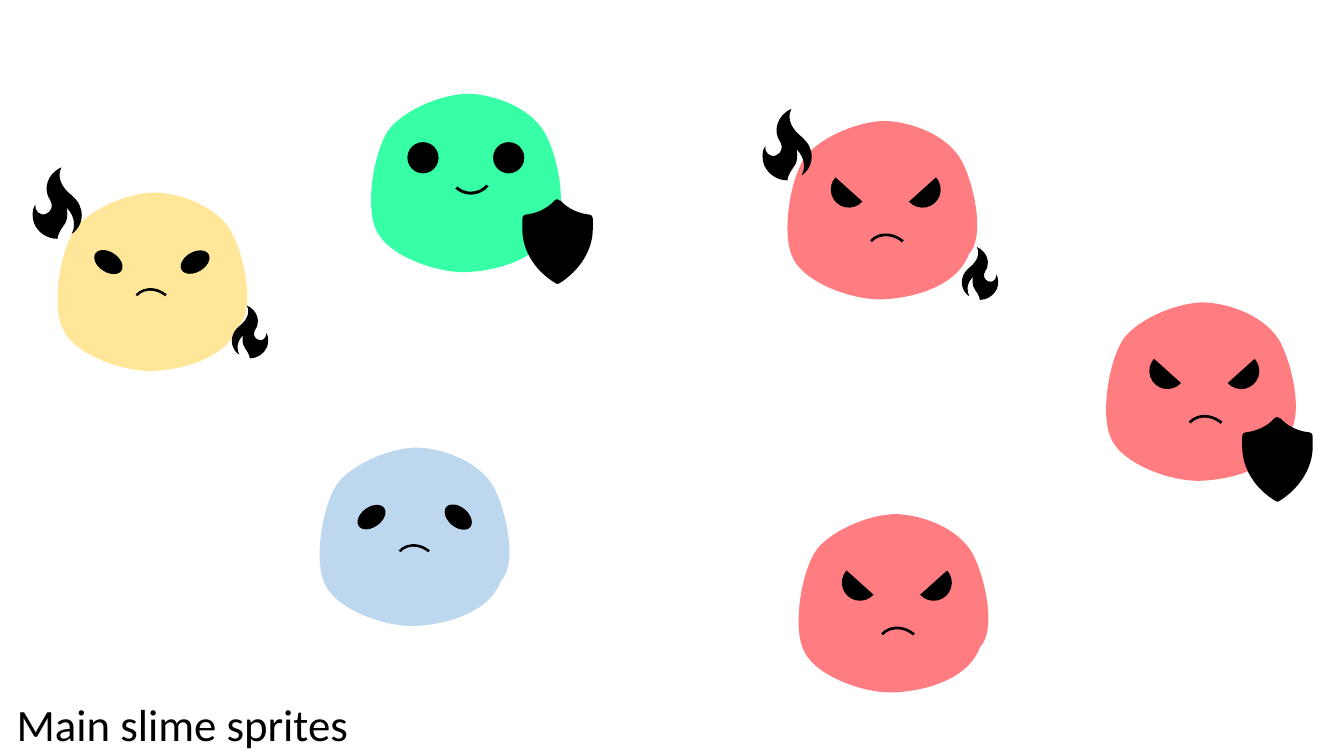
"""Build the slide of main slime sprites with their flames and shields."""
from lxml.etree import SubElement
from pptx import Presentation
from pptx.dml.color import RGBColor
from pptx.enum.shapes import MSO_SHAPE
from pptx.enum.text import MSO_ANCHOR, PP_ALIGN
from pptx.oxml.ns import qn
from pptx.util import Inches, Pt

COLORS = {"ink": "000000", "angry": "FF7C80", "happy": "36FFA5",
          "cross": "FFE699", "sad": "BDD7EE"}

# Outline: width, height, then a start point, Bezier curves (six numbers) and lines (two).
BODY = (1.88, 1.76, [
    (0.06, 1.37), (-0.07, 1.14, 0.03, 0.54, 0.19, 0.34),
    (0.35, 0.15, 0.72, 0, 0.97, 0), (1.23, 0.01, 1.59, 0.14, 1.73, 0.4),
    (1.86, 0.65, 1.96, 1.16, 1.8, 1.32), (1.68, 1.65, 1.23, 1.76, 0.94, 1.77),
    (0.65, 1.78, 0.18, 1.61, 0.06, 1.37),
])
FLAME = (0.49, 0.71, [
    (0.03, 0.37), (0.02, 0.43, 0.08, 0.49, 0.14, 0.46),
    (0.19, 0.44, 0.21, 0.38, 0.18, 0.33), (0.1, 0.22, 0.15, 0.06, 0.29, 0),
    (0.23, 0.11, 0.32, 0.22, 0.37, 0.26), (0.43, 0.31, 0.46, 0.35, 0.47, 0.38),
    (0.53, 0.51, 0.45, 0.63, 0.39, 0.66), (0.42, 0.61, 0.44, 0.5, 0.34, 0.4),
    (0.34, 0.4, 0.37, 0.51, 0.31, 0.58), (0.25, 0.66, 0.25, 0.71, 0.25, 0.71),
    (0.15, 0.71, 0.06, 0.65, 0.02, 0.56), (0, 0.51, -0.01, 0.42, 0.03, 0.37),
])
SHIELD = (0.71, 0.84, [
    (0.38, 0.01), (0.45, 0.09, 0.56, 0.14, 0.67, 0.15),
    (0.69, 0.15, 0.7, 0.17, 0.7, 0.19), (0.7, 0.29),
    (0.7, 0.51, 0.56, 0.71, 0.37, 0.83), (0.36, 0.84, 0.34, 0.84, 0.33, 0.83),
    (0.13, 0.71, 0, 0.51, 0, 0.29), (0, 0.19),
    (0, 0.17, 0.01, 0.15, 0.03, 0.15), (0.14, 0.14, 0.25, 0.09, 0.32, 0.01),
    (0.33, -0.01, 0.36, -0.01, 0.37, 0.01),
])

# Features: preset, left, top, width, height, rotation, mirrored.
ANGRY_FACE = [
    (MSO_SHAPE.BLOCK_ARC, 0.76, 1.13, 0.5, 0.43, 37, False),
    (MSO_SHAPE.CHORD, 0.43, 0.5, 0.36, 0.36, 312.1, False),
    (MSO_SHAPE.CHORD, 1.16, 0.5, 0.36, 0.36, 47.9, True),
]
HAPPY_FACE = [
    (MSO_SHAPE.OVAL, 0.36, 0.48, 0.31, 0.31, 0, False),
    (MSO_SHAPE.OVAL, 1.21, 0.48, 0.31, 0.31, 0, False),
    (MSO_SHAPE.BLOCK_ARC, 0.76, 0.54, 0.46, 0.46, 217.2, False),
]
CROSS_FACE = [
    (MSO_SHAPE.OVAL, 0.35, 0.59, 0.31, 0.2, 33.4, False),
    (MSO_SHAPE.OVAL, 1.21, 0.59, 0.31, 0.2, 329.8, False),
    (MSO_SHAPE.BLOCK_ARC, 0.72, 0.96, 0.46, 0.4, 37, False),
]
SAD_FACE = [
    (MSO_SHAPE.OVAL, 0.36, 0.59, 0.31, 0.2, 324.4, False),
    (MSO_SHAPE.OVAL, 1.22, 0.59, 0.31, 0.2, 40.1, False),
    (MSO_SHAPE.BLOCK_ARC, 0.73, 0.97, 0.46, 0.4, 37, False),
]
ADJUSTMENTS = {MSO_SHAPE.BLOCK_ARC: (109.83, 165.006, 0.063),
               MSO_SHAPE.CHORD: (53.802, 162), MSO_SHAPE.OVAL: ()}

# Extras: outline, left, top, scale, mirrored.
SMALL = 0.74
SLIMES = [
    (7.81, 1.2, "angry", ANGRY_FACE,
     [(FLAME, -0.25, -0.12, 1, False), (FLAME, 1.73, 1.25, SMALL, True)]),
    (7.92, 5.1, "angry", ANGRY_FACE, []),
    (10.97, 3, "angry", ANGRY_FACE, [(SHIELD, 1.35, 1.14, 1, False)]),
    (3.68, 0.93, "happy", HAPPY_FACE, [(SHIELD, 1.5, 1.05, 1, False)]),
    (0.57, 1.91, "cross", CROSS_FACE,
     [(FLAME, -0.25, -0.25, 1, False), (FLAME, 1.73, 1.12, SMALL, True)]),
    (3.17, 4.44, "sad", SAD_FACE, []),
]


def paint(shape, color, mirrored):
    """Give a shape a flat fill without outline or shadow, mirrored if asked."""
    shape.fill.solid()
    shape.fill.fore_color.rgb = RGBColor.from_string(COLORS[color])
    shape.line.fill.background()
    shape.shadow.inherit = False
    if mirrored:
        shape.element.spPr.get_or_add_xfrm().set("flipH", "1")


def draw_outline(shapes, outline, left, top, scale, mirrored, color):
    """Draw a curved outline as a filled freeform."""
    width, height, segments = outline
    builder = shapes.build_freeform(0, 0)
    builder.add_line_segments([(Inches(width), Inches(height))], close=False)
    freeform = builder.convert_to_shape(Inches(left), Inches(top))
    freeform.width, freeform.height = Inches(width * scale), Inches(height * scale)
    contour = freeform.element.spPr.find(".//" + qn("a:path"))
    for child in list(contour):
        contour.remove(child)
    for index, segment in enumerate(segments):
        line_tag = "a:lnTo" if index else "a:moveTo"
        tag = "a:cubicBezTo" if len(segment) == 6 else line_tag
        command = SubElement(contour, qn(tag))
        for x, y in zip(segment[::2], segment[1::2]):
            SubElement(command, qn("a:pt"), x=str(Inches(x)), y=str(Inches(y)))
    SubElement(contour, qn("a:close"))
    paint(freeform, color, mirrored)


deck = Presentation()
deck.slide_width = Inches(13.33)
deck.slide_height = Inches(7.5)
page = deck.slides.add_slide(deck.slide_layouts[5])

for left, top, color, face, extras in SLIMES:
    draw_outline(page.shapes, BODY, left, top, 1, False, color)
    for preset, x, y, width, height, rotation, mirrored in face:
        feature = page.shapes.add_shape(
            preset, Inches(left + x), Inches(top + y), Inches(width), Inches(height))
        for index, value in enumerate(ADJUSTMENTS[preset]):
            feature.adjustments[index] = value
        feature.rotation = rotation
        paint(feature, "ink", mirrored)
    for outline, x, y, scale, mirrored in extras:
        draw_outline(page.shapes, outline, left + x, top + y, scale, mirrored, "ink")

title = page.shapes.title
title.left, title.top = Inches(0), Inches(6.86)
title.width, title.height = Inches(3.62), Inches(0.64)
frame = title.text_frame
frame.word_wrap = False
frame.vertical_anchor = MSO_ANCHOR.TOP
para = frame.paragraphs[0]
para.text = "Main slime sprites"
para.alignment = PP_ALIGN.CENTER
para.font.name = "Calibri"
para.font.size = Pt(32)
para.font.color.rgb = RGBColor.from_string(COLORS["ink"])

deck.save("out.pptx")
